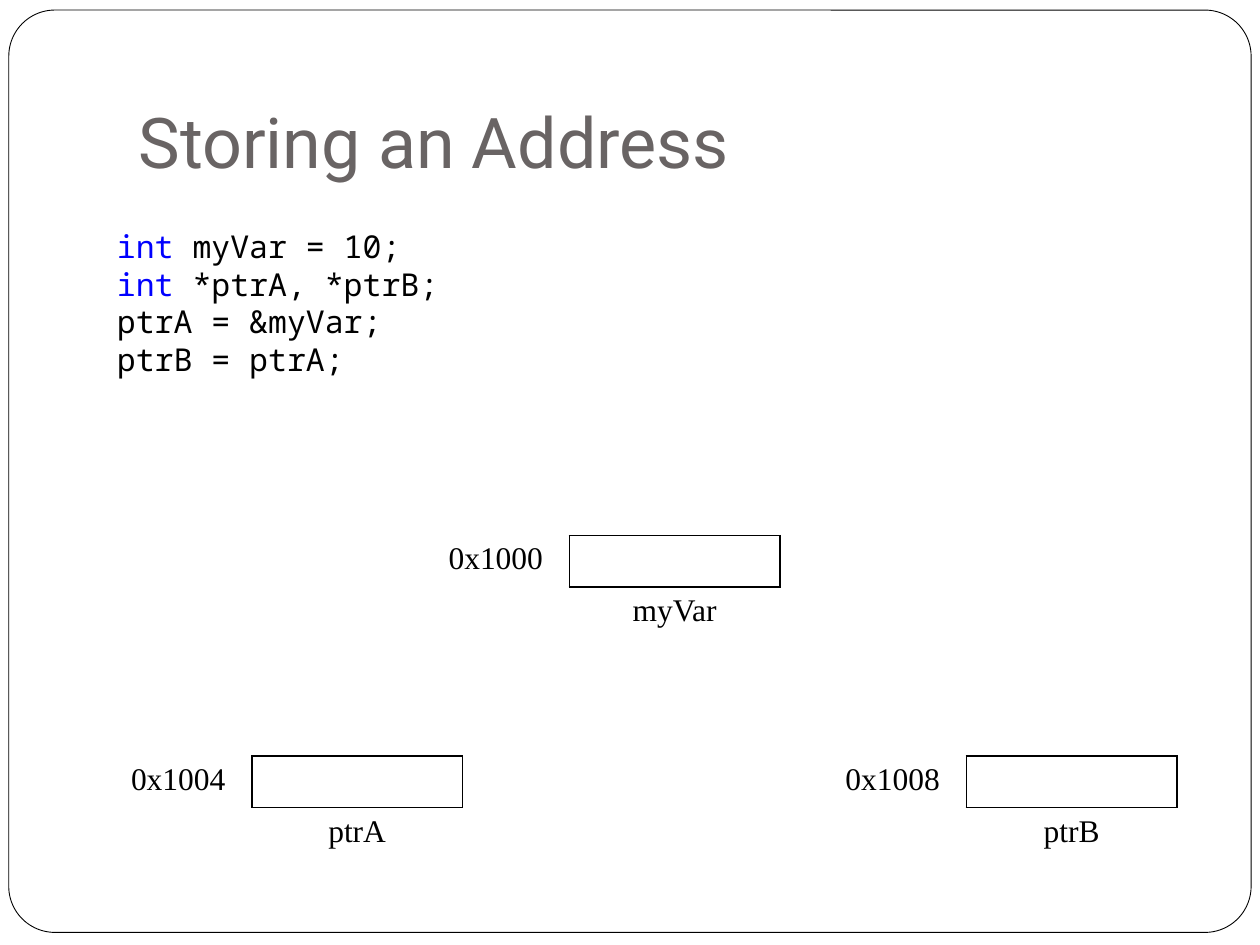
from lxml import etree
from pptx import Presentation
from pptx import util as u
from pptx.dml.color import RGBColor
from pptx.enum import shapes, text
from pptx.oxml import ns

THEME = {
    "ink": RGBColor.from_string("000000"),
    "paper": RGBColor.from_string("FFFFFF"),
    "title": RGBColor.from_string("696464"),
    "key": RGBColor.from_string("0000FF"),
    "head": 40,
    "body": 18,
}


def write(para, words, font="Times New Roman", size=THEME["body"],
          color=THEME["ink"], align=text.PP_ALIGN.LEFT):
    para.alignment = align
    run = para.add_run()
    run.text = words
    run.font.name = font
    run.font.size = u.Pt(size)
    run.font.color.rgb = color


def border(cell, sides):
    """Draw the named sides (L, R, T, B) and hide the others."""
    props = cell._tc.get_or_add_tcPr()
    for side in "LRTB":
        line = etree.SubElement(props, ns.qn("a:ln" + side), w=str(u.Pt(1)))
        if side in sides:
            fill = etree.SubElement(line, ns.qn("a:solidFill"))
            etree.SubElement(fill, ns.qn("a:srgbClr"), val=str(THEME["ink"]))
        else:
            etree.SubElement(line, ns.qn("a:noFill"))


deck = Presentation()
deck.slide_width, deck.slide_height = u.Inches(10), u.Inches(7.5)
slide = deck.slides.add_slide(deck.slide_layouts[5])

# Title
title = slide.shapes.title
title.left, title.top = u.Inches(1), u.Inches(0.3)
title.width, title.height = u.Inches(8.5), u.Inches(1.25)
frame = title.text_frame
frame.auto_size = text.MSO_AUTO_SIZE.NONE
frame.vertical_anchor = text.MSO_ANCHOR.BOTTOM
frame.margin_bottom = u.Inches(0.1)
write(frame.paragraphs[0], "Storing an Address", font="Roboto",
      size=THEME["head"], color=THEME["title"])

# Rounded page frame, behind the title
page = slide.shapes.add_shape(
    shapes.MSO_SHAPE.ROUNDED_RECTANGLE,
    u.Inches(0.07), u.Inches(0.08), u.Inches(9.86), u.Inches(7.32))
page.adjustments[0] = 0.05
page.shadow.inherit = False
page.fill.solid()
page.fill.fore_color.rgb = THEME["paper"]
page.line.color.rgb = THEME["ink"]
page.line.width = u.Pt(0.5)
title.element.addprevious(page.element)

# Code: keyword, then the rest of the line
CODE = [("int", " myVar = 10;"), ("int", " *ptrA, *ptrB;"),
        ("", "ptrA = &myVar;"), ("", "ptrB = ptrA;")]
box = slide.shapes.add_textbox(
    u.Inches(0.83), u.Inches(1.75), u.Inches(5), u.Inches(1.31))
frame = box.text_frame
frame.word_wrap = True
frame.auto_size = text.MSO_AUTO_SIZE.SHAPE_TO_FIT_TEXT
for row, (key, rest) in enumerate(CODE):
    para = frame.add_paragraph() if row else frame.paragraphs[0]
    if key:
        write(para, key, font="Noto Sans Mono", color=THEME["key"])
    write(para, rest, font="Noto Sans Mono")

# Memory cells: address, box and variable name
CELLS = [(3.35, 4.25, "0x1000", "myVar"),
         (0.83, 6, "0x1004", "ptrA"),
         (6.5, 6, "0x1008", "ptrB")]
SIDES = [["R", "LRTB"], ["", "T"]]
for left, top, place, name in CELLS:
    table = slide.shapes.add_table(
        2, 2, u.Inches(left), u.Inches(top),
        u.Inches(2.84), u.Inches(0.82)).table
    table.first_row = table.horz_banding = False
    table.columns[0].width = u.Inches(1.17)
    table.columns[1].width = u.Inches(1.67)
    words = [[place, ""], ["", name]]
    for row in range(2):
        table.rows[row].height = u.Inches(0.41)
        for col in range(2):
            cell = table.cell(row, col)
            border(cell, SIDES[row][col])
            cell.fill.background()
            para = cell.text_frame.paragraphs[0]
            if words[row][col]:
                write(para, words[row][col], align=text.PP_ALIGN.CENTER)
            else:
                para.font.size = u.Pt(THEME["body"])

deck.save("out.pptx")
